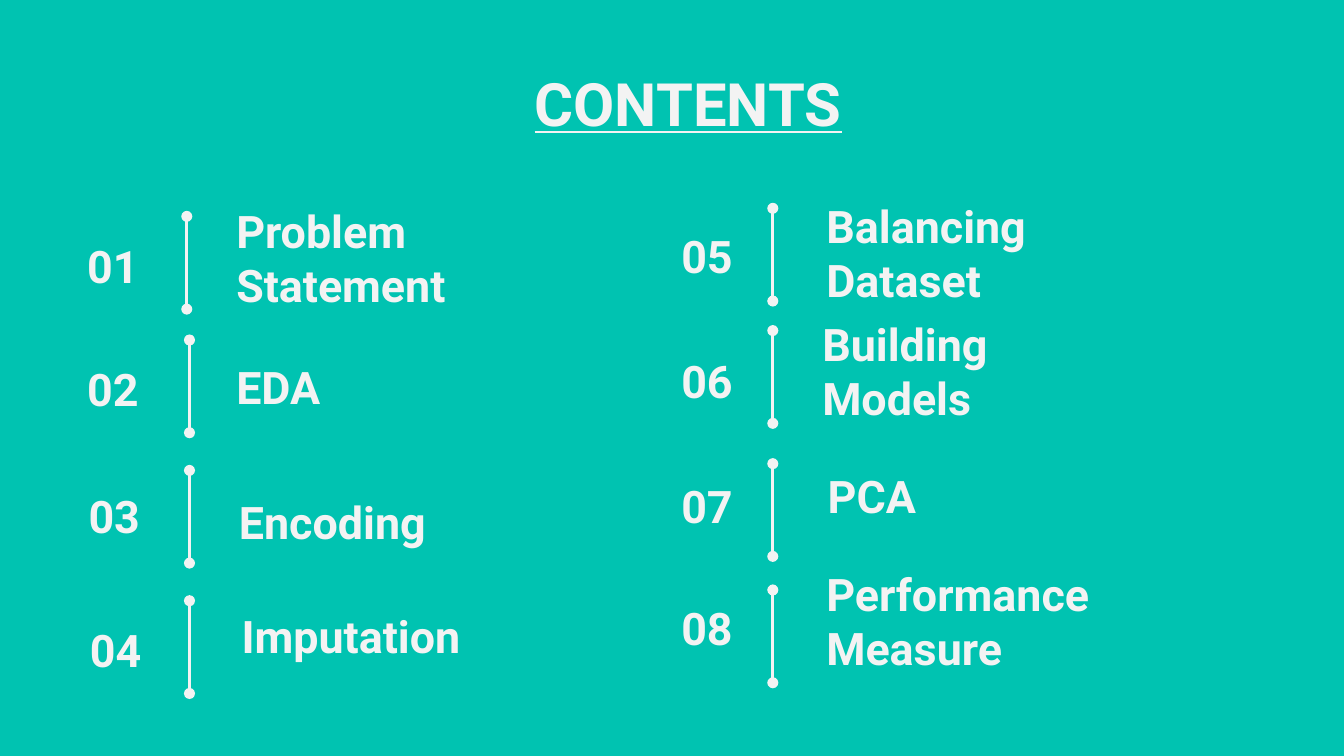
from lxml import etree
from pptx import Presentation
from pptx import util as u
from pptx.dml import color
from pptx.enum import shapes, text
from pptx.oxml import ns

COLORS = {"back": "00C3B1", "ink": "F3F3F3"}
INK = color.RGBColor.from_string(COLORS["ink"])
ALIGN = text.PP_ALIGN

prs = Presentation()
prs.slide_width = u.Inches(10)
prs.slide_height = u.Inches(10) * 9 // 16
s = prs.slides.add_slide(prs.slide_layouts[6])
s.background.fill.solid()
s.background.fill.fore_color.rgb = color.RGBColor.from_string(COLORS["back"])


def add_text(words, x, y, w, h=0.46, align=ALIGN.LEFT, size=24, underline=None):
    sp = s.shapes.add_textbox(*map(u.Inches, (x, y, w, h)))
    tf = sp.text_frame
    tf.word_wrap = True
    tf.vertical_anchor = text.MSO_ANCHOR.MIDDLE
    for side in ("left", "top", "right", "bottom"):
        setattr(tf, f"margin_{side}", u.Inches(0.1))
    p = tf.paragraphs[0]
    p.alignment = align
    r = p.add_run()
    r.text = words
    font = {"name": "Roboto", "size": u.Pt(size), "bold": True, "underline": underline}
    for key, value in font.items():
        setattr(r.font, key, value)
    r.font.color.rgb = INK


def add_divider(x, y, length=0.69):
    c = s.shapes.add_connector(
        shapes.MSO_CONNECTOR.STRAIGHT, *map(u.Inches, (x, y, x, y + length)))
    c.line.color.rgb = INK
    c.line.width = u.Pt(1.5)
    ln = c.line._get_or_add_ln()
    for end in ("a:headEnd", "a:tailEnd"):
        etree.SubElement(ln, ns.qn(end), type="oval")
    etree.SubElement(c._element.spPr, ns.qn("a:effectLst"))


topics = [
    ("Problem Statement", (1.66, 1.65, 2.94, 0.53), (0.47, 1.75), (1.39, 1.61)),
    ("EDA", (1.66, 2.65, 2.56), (0.47, 2.66), (1.41, 2.53)),
    ("Encoding", (1.68, 3.65, 2.56), (0.48, 3.61), (1.41, 3.5)),
    ("Imputation", (1.7, 4.5, 2.56), (0.49, 4.6), (1.41, 4.47)),
    ("Balancing Dataset", (6.05, 1.65, 2.8), (4.89, 1.67), (5.75, 1.55)),
    ("Building Models", (6.02, 2.53, 2.56), (4.89, 2.6), (5.75, 2.46)),
    ("PCA", (6.06, 3.46, 2.56), (4.89, 3.53), (5.75, 3.45)),
    ("Performance Measure", (6.05, 4.39, 3.36), (4.89, 4.44), (5.75, 4.39)),
]
for number, (topic, topic_box, number_at, divider_at) in enumerate(topics, 1):
    add_text(topic, *topic_box)
    add_text(f"{number:02}", *number_at, 0.66, align=ALIGN.RIGHT)
    add_divider(*divider_at)

add_text("CONTENTS", 2.98, 0.4, 4.28, 0.72, ALIGN.CENTER, 32, True)

prs.save("out.pptx")
